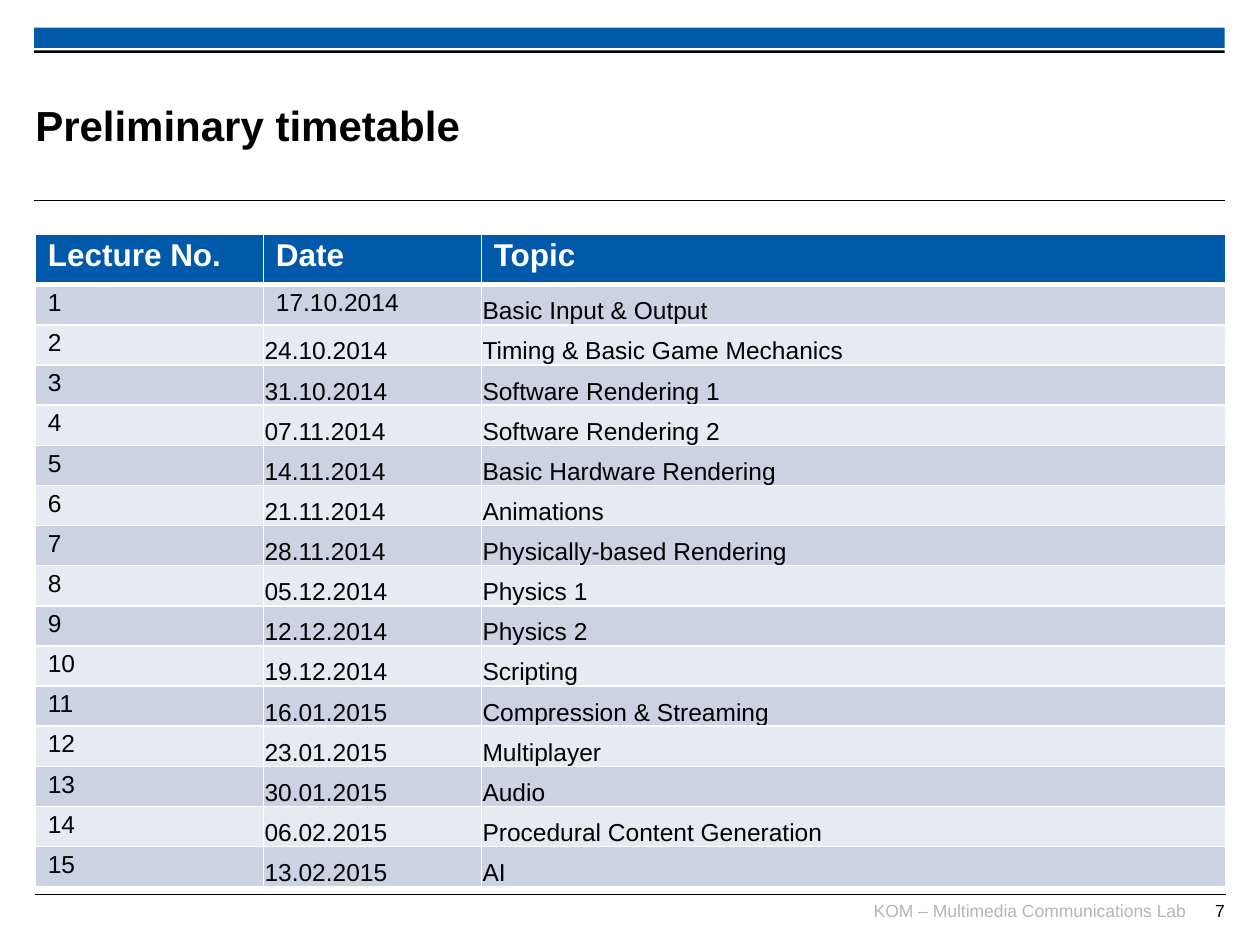
"""Build the preliminary lecture timetable slide."""
from lxml.etree import SubElement
from pptx import Presentation
from pptx.dml.color import RGBColor
from pptx.enum.shapes import MSO_CONNECTOR as Connector, MSO_SHAPE as Shape
from pptx.enum.text import MSO_ANCHOR as Anchor, PP_ALIGN as Align
from pptx.oxml.ns import qn
from pptx.util import Inches, Pt

BLUE = RGBColor(0x00, 0x5A, 0xA9)
BLACK = RGBColor(0x00, 0x00, 0x00)
WHITE = RGBColor(0xFF, 0xFF, 0xFF)
GRAY = RGBColor(0xB5, 0xB5, 0xB5)
BAND_DARK = RGBColor(0xCC, 0xD2, 0xE2)
BAND_LIGHT = RGBColor(0xE7, 0xEA, 0xF1)

HEADERS = ("Lecture No.", "Date", "Topic")
LECTURES = [
    ("17.10.2014", "Basic Input & Output"),
    ("24.10.2014", "Timing & Basic Game Mechanics"),
    ("31.10.2014", "Software Rendering 1"),
    ("07.11.2014", "Software Rendering 2"),
    ("14.11.2014", "Basic Hardware Rendering"),
    ("21.11.2014", "Animations"),
    ("28.11.2014", "Physically-based Rendering"),
    ("05.12.2014", "Physics 1"),
    ("12.12.2014", "Physics 2"),
    ("19.12.2014", "Scripting"),
    ("16.01.2015", "Compression & Streaming"),
    ("23.01.2015", "Multiplayer"),
    ("30.01.2015", "Audio"),
    ("06.02.2015", "Procedural Content Generation"),
    ("13.02.2015", "AI"),
]


def write_text(frame, text, size, color=BLACK, bold=False, align=Align.LEFT, spacing=1.0):
    para = frame.paragraphs[0]
    para.alignment = align
    para.line_spacing = spacing
    span = para.add_run()
    span.text = text
    span.font.name = "Arial"
    span.font.size = Pt(size)
    span.font.bold = bold
    span.font.color.rgb = color


def style_cell(cell, fill, bottom_width):
    properties = cell._tc.get_or_add_tcPr()
    for side in ("lnL", "lnR", "lnT", "lnB"):
        width = bottom_width if side == "lnB" else 1
        border = SubElement(properties, qn(f"a:{side}"), w=str(Pt(width)))
        SubElement(SubElement(border, qn("a:solidFill")), qn("a:srgbClr"), val=str(WHITE))
    cell.fill.solid()
    cell.fill.fore_color.rgb = fill


deck = Presentation()
deck.slide_width, deck.slide_height = Inches(10), Inches(7.5)
slide = deck.slides.add_slide(deck.slide_layouts[5])
shapes = slide.shapes

for top, height, color in ((0.22, 0.16, BLUE), (0.4, 0.02, BLACK)):
    bar = shapes.add_shape(Shape.RECTANGLE, Inches(0.27), Inches(top), Inches(9.45), Inches(height))
    bar.shadow.inherit = False
    bar.fill.solid()
    bar.fill.fore_color.rgb = color
    bar.line.fill.background()

for left, top in ((0.27, 1.59), (0.28, 7.1)):
    rule = shapes.add_connector(
        Connector.STRAIGHT, Inches(left), Inches(top), Inches(left + 9.45), Inches(top))
    rule.line.color.rgb = BLACK
    rule.line.width = Pt(0.6)
    SubElement(rule._element.spPr, qn("a:effectLst"))

title = shapes.title
title.left, title.top = Inches(0.28), Inches(0.53)
title.width, title.height = Inches(7.52), Inches(0.92)
title.text_frame.vertical_anchor = Anchor.MIDDLE
write_text(title.text_frame, "Preliminary timetable", 24, bold=True)

footer = shapes.add_textbox(Inches(6.81), Inches(7.14), Inches(2.6), Inches(0.25))
write_text(footer.text_frame, "KOM – Multimedia Communications Lab", 10, GRAY, align=Align.RIGHT)
page_number = shapes.add_textbox(Inches(9.29), Inches(7.14), Inches(0.43), Inches(0.24))
write_text(page_number.text_frame, "7", 10, align=Align.RIGHT)

for box in (title, footer, page_number):
    frame = box.text_frame
    frame.word_wrap = True
    frame.margin_left = frame.margin_right = frame.margin_top = frame.margin_bottom = 0

header_height, table_height = Inches(0.4), Inches(5.18)
timetable = shapes.add_table(
    len(LECTURES) + 1, len(HEADERS), Inches(0.28), Inches(1.86), Inches(9.45), table_height).table
for column, width in zip(timetable.columns, (1.81, 1.73, 5.91)):
    column.width = Inches(width)
for row in timetable.rows:
    row.height = (table_height - header_height) // len(LECTURES)
timetable.rows[0].height = header_height

for column, header in enumerate(HEADERS):
    cell = timetable.cell(0, column)
    style_cell(cell, BLUE, 3)
    write_text(cell.text_frame, header, 18, WHITE, bold=True, spacing=0.93)

for number, lecture in enumerate(LECTURES, start=1):
    for column, text in enumerate((str(number), *lecture)):
        cell = timetable.cell(number, column)
        style_cell(cell, BAND_DARK if number % 2 else BAND_LIGHT, 1)
        write_text(cell.text_frame, text, 14, spacing=0.93)
        if column == 2 or (column == 1 and number > 1):
            cell.vertical_anchor = Anchor.BOTTOM
            cell.margin_left = cell.margin_right = cell.margin_top = Inches(0.01)
            cell.margin_bottom = 0

deck.save("out.pptx")
